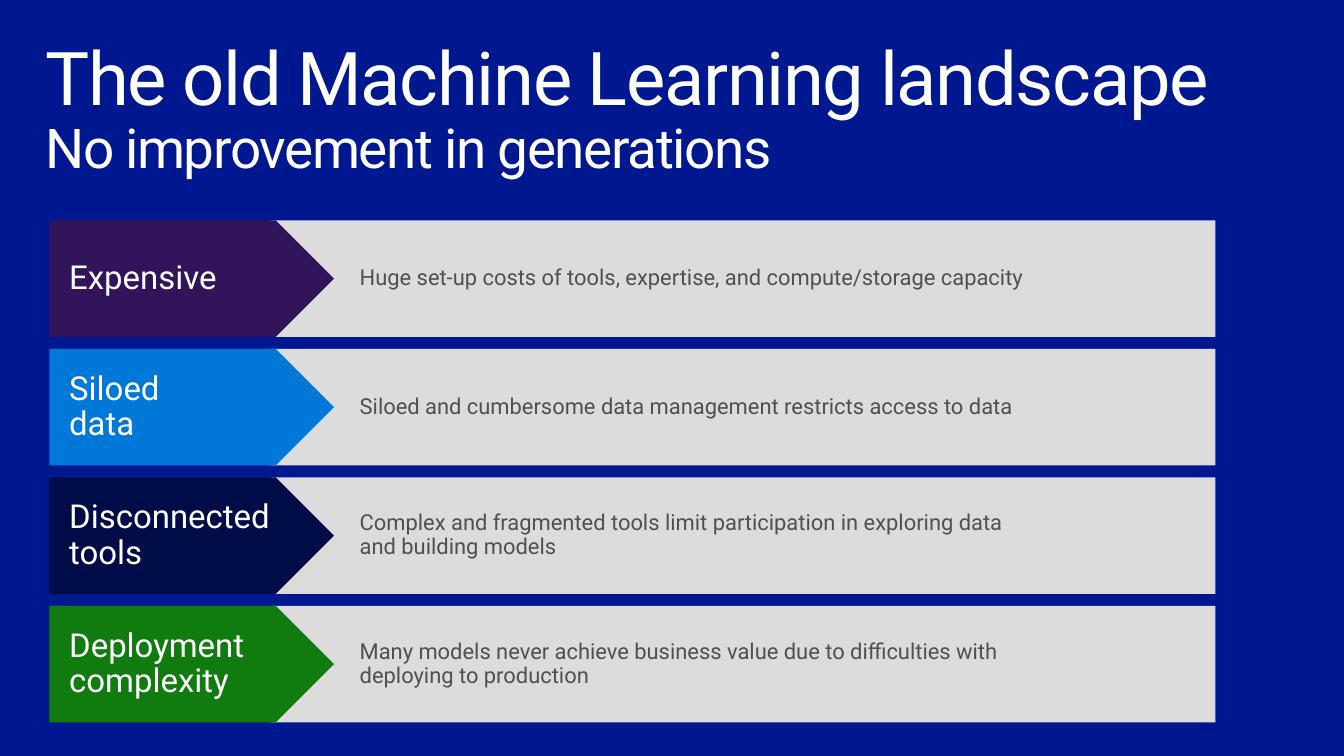
from pptx import Presentation
from pptx.dml.color import RGBColor
from pptx.enum.shapes import MSO_SHAPE as Preset
from pptx.enum.text import MSO_ANCHOR as Anchor, PP_ALIGN as Align
from pptx.util import Inches, Pt

NAVY = RGBColor(0x00, 0x18, 0x8F)
WHITE = RGBColor(0xFF, 0xFF, 0xFF)
LIGHT_GRAY = RGBColor(0xDC, 0xDC, 0xDC)
DARK_GRAY = RGBColor(0x50, 0x50, 0x50)
PURPLE = RGBColor(0x32, 0x14, 0x5A)
BLUE = RGBColor(0x00, 0x78, 0xD7)
MIDNIGHT = RGBColor(0x00, 0x0C, 0x48)
GREEN = RGBColor(0x10, 0x7C, 0x10)

PROBLEMS = [
    ("Expensive", PURPLE,
     "Huge set-up costs of tools, expertise, and compute/storage capacity"),
    ("Siloed\vdata", BLUE,
     "Siloed and cumbersome data management restricts access to data"),
    ("Disconnected tools", MIDNIGHT,
     "Complex and fragmented tools limit participation in exploring data\vand building models"),
    ("Deployment complexity", GREEN,
     "Many models never achieve business value due to difficulties with\vdeploying to production"),
]
FIRST_TOP, ROW_PITCH, ROW_HEIGHT = 2.23, 1.3, 1.18


class LandscapeSlide:
    """Draws the title and the problem rows in one shared style."""

    font_name = "Roboto"
    line_spacing = 0.9

    def __init__(self, presentation):
        self.slide = presentation.slides.add_slide(presentation.slide_layouts[6])
        fill = self.slide.background.fill
        fill.solid()
        fill.fore_color.rgb = NAVY

    def style(self, paragraph, color):
        paragraph.alignment = Align.LEFT
        paragraph.line_spacing = self.line_spacing
        paragraph.font.name = self.font_name
        paragraph.font.color.rgb = color

    def title(self, lines):
        box = self.slide.shapes.add_textbox(Inches(0.3), Inches(0.32), Inches(13), Inches(1))
        frame = box.text_frame
        frame.word_wrap = True
        frame.margin_left = frame.margin_right = Inches(0.16)
        frame.margin_top = frame.margin_bottom = Inches(0.1)
        paragraph = frame.paragraphs[0]
        for index, (text, size) in enumerate(lines):
            if index:
                paragraph.add_line_break()
            run = paragraph.add_run()
            run.text = text
            run.font.size = Pt(size)
            run._r.get_or_add_rPr().set("spc", "-100")
        self.style(paragraph, WHITE)

    def block(self, group, preset, left, top, width, fill, text, size, color, margins):
        shape = group.shapes.add_shape(
            preset, Inches(left), Inches(top), Inches(width), Inches(ROW_HEIGHT))
        shape.shadow.inherit = False
        shape.fill.solid()
        shape.fill.fore_color.rgb = fill
        shape.line.fill.background()
        frame = shape.text_frame
        frame.word_wrap = True
        frame.vertical_anchor = Anchor.MIDDLE
        frame.margin_left, frame.margin_right = map(Inches, margins)
        paragraph = frame.paragraphs[0]
        paragraph.text = text
        self.style(paragraph, color)
        paragraph.font.size = Pt(size)

    def row(self, top, label, color, description):
        group = self.slide.shapes.add_group_shape()
        self.block(group, Preset.RECTANGLE, 2.74, top, 9.56, LIGHT_GRAY,
                   description, 16, DARK_GRAY, (0.9, 0.1))
        self.block(group, Preset.PENTAGON, 0.5, top, 2.88, color,
                   label, 24, WHITE, (0.2, 0.2))


def main():
    presentation = Presentation()
    presentation.slide_width = Inches(13.6)
    presentation.slide_height = Inches(7.65)
    landscape = LandscapeSlide(presentation)
    landscape.title([("The old Machine Learning landscape", 54),
                     ("No improvement in generations", 40)])
    for index, problem in enumerate(PROBLEMS):
        landscape.row(FIRST_TOP + index * ROW_PITCH, *problem)
    presentation.save("out.pptx")


if __name__ == "__main__":
    main()
